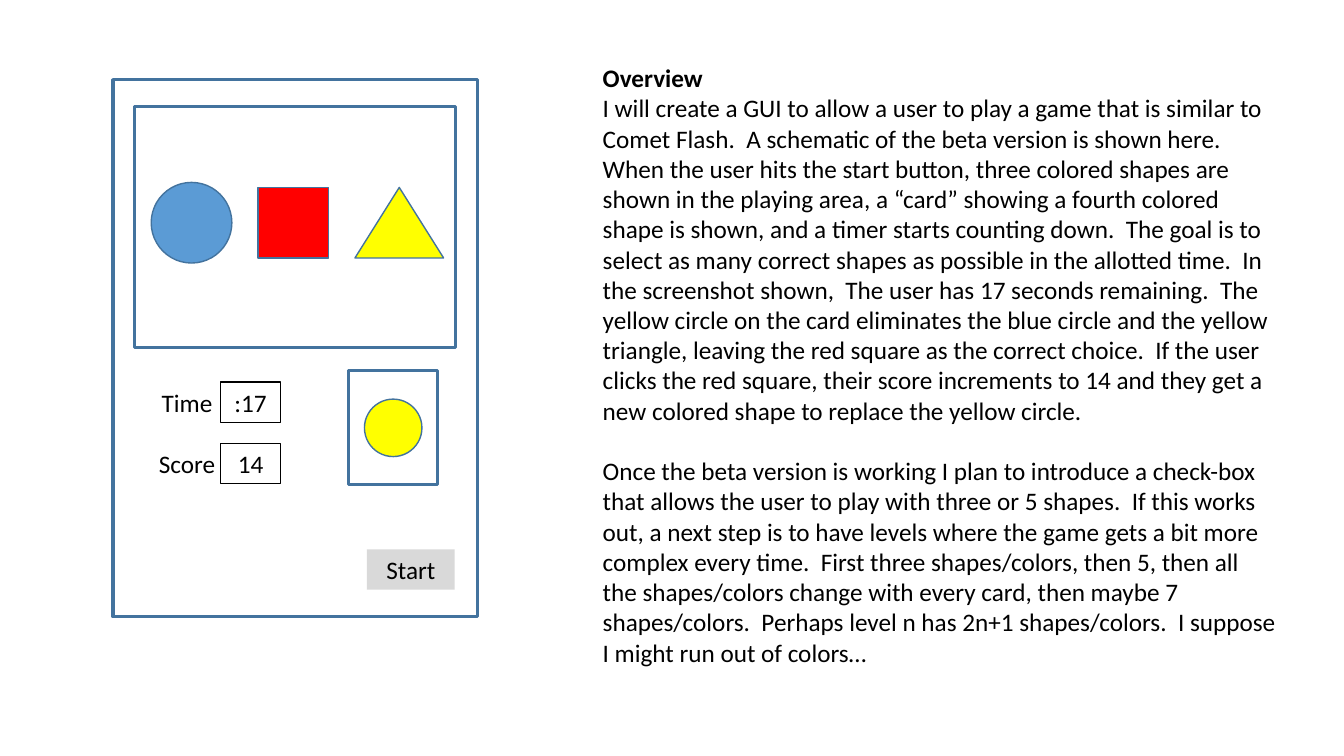
from dataclasses import dataclass

from pptx import Presentation
from pptx.dml.color import RGBColor
from pptx.enum.shapes import MSO_SHAPE
from pptx.enum.text import MSO_ANCHOR, PP_ALIGN
from pptx.util import Inches, Pt

CELL = Inches(0.1)
FONT = {"name": "Calibri", "size": Pt(18)}
OUTLINE, INK = "43739E", "000000"
BLUE, RED, YELLOW, GREY = "5B9BD5", "FF0000", "FFFF00", "D9D9D9"
GAME_PLAN = (
    "I will create a GUI to allow a user to play a game that is similar to "
    "Comet Flash.  A schematic of the beta version is shown here.  When the user "
    "hits the start button, three colored shapes are shown in the playing area, "
    "a “card” showing a fourth colored shape is shown, and a timer starts "
    "counting down.  The goal is to select as many correct shapes as possible in "
    "the allotted time.  In the screenshot shown,  The user has 17 seconds "
    "remaining.  The yellow circle on the card eliminates the blue circle and the "
    "yellow triangle, leaving the red square as the correct choice.  If the user "
    "clicks the red square, their score increments to 14 and they get a new "
    "colored shape to replace the yellow circle."
)
NEXT_STEPS = (
    "Once the beta version is working I plan to introduce a check-box that allows "
    "the user to play with three or 5 shapes.  If this works out, a next step is "
    "to have levels where the game gets a bit more complex every time.  First "
    "three shapes/colors, then 5, then all the shapes/colors change with every "
    "card, then maybe 7 shapes/colors.  Perhaps level n has 2n+1 shapes/colors.  "
    "I suppose I might run out of colors…"
)


@dataclass
class Box:
    """A region of the slide, measured in grid cells."""

    col: float
    row: float
    cols: float
    rows: float

    def area(self, col, row, cols, rows):
        """Return a box placed from this box's top left corner."""
        return Box(self.col + col, self.row + row, cols, rows)

    def centred(self, cols, rows):
        """Return a box of the given size in the middle of this one."""
        return self.area((self.cols - cols) / 2, (self.rows - rows) / 2, cols, rows)

    def lengths(self):
        """Return left, top, width and height as slide lengths."""
        return [round(n * CELL) for n in (self.col, self.row, self.cols, self.rows)]


def colour(hex_string):
    """Turn a hex string into a colour."""
    return RGBColor.from_string(hex_string)


def apply(target, **values):
    """Set attributes from a dict of format values."""
    for key, value in values.items():
        setattr(target, key, value)


def write(text_frame, paragraphs, align=PP_ALIGN.LEFT):
    """Fill a text frame from (text, bold, space before) entries."""
    apply(text_frame, word_wrap=True, vertical_anchor=MSO_ANCHOR.TOP)
    for index, (text, bold, gap) in enumerate(paragraphs):
        paragraph = text_frame.add_paragraph() if index else text_frame.paragraphs[0]
        apply(paragraph, alignment=align, space_before=Pt(gap))
        run = paragraph.add_run()
        run.text = text
        apply(run.font, bold=bold, **FONT)
        run.font.color.rgb = colour(INK)


def draw(slide, kind, box, fill=None, line=None, weight=1.0, text=None):
    """Add a preset shape with optional fill, line and centred text."""
    shape = slide.shapes.add_shape(kind, *box.lengths())
    shape.shadow.inherit = False
    for paint, shade in ((shape.fill, fill), (shape.line.fill, line)):
        if shade:
            paint.solid()
            paint.fore_color.rgb = colour(shade)
        else:
            paint.background()
    if line:
        shape.line.width = Pt(weight)
    if text:
        write(shape.text_frame, [(text, False, 0)], PP_ALIGN.CENTER)


def frame(slide, box):
    """Outline a region of the game window."""
    draw(slide, MSO_SHAPE.RECTANGLE, box, line=OUTLINE, weight=2.25)


def playing_area(slide, box):
    """Draw the area with the three shapes to choose from, evenly spaced."""
    frame(slide, box)
    left, gap, middle = 1.7, 2.6, 11.5
    choices = [
        (MSO_SHAPE.OVAL, 8, 8, BLUE),
        (MSO_SHAPE.RECTANGLE, 7, 7, RED),
        (MSO_SHAPE.ISOSCELES_TRIANGLE, 8.8, 7, YELLOW),
    ]
    for kind, cols, rows, fill in choices:
        place = box.area(left, middle - rows / 2, cols, rows)
        draw(slide, kind, place, fill, OUTLINE)
        left += cols + gap


def card(slide, box):
    """Draw the card with its fourth colored shape."""
    frame(slide, box)
    draw(slide, MSO_SHAPE.OVAL, box.centred(5.7, 5.7), YELLOW, OUTLINE)


def readouts(slide, box):
    """Stack the labelled time and score fields."""
    for index, (label, value) in enumerate([("Time", ":17"), ("Score", "14")]):
        row = 6.1 * index
        caption = slide.shapes.add_textbox(*box.area(0, row, 8.7, 4).lengths())
        write(caption.text_frame, [(label, False, 0)], PP_ALIGN.CENTER)
        field = box.area(7.7, row, 5.9, 4)
        draw(slide, MSO_SHAPE.RECTANGLE, field, line=INK, weight=0.75, text=value)


def game_window(slide, box):
    """Draw the schematic of the game window."""
    frame(slide, box)
    playing_area(slide, box.area(2.1, 2.7, 31.9, 23.9))
    readouts(slide, box.area(3, 30, 13.6, 10.1))
    card(slide, box.area(23.4, 28.9, 8.8, 11.3))
    start = box.area(25.2, 46.6, 8.7, 4)
    draw(slide, MSO_SHAPE.RECTANGLE, start, fill=GREY, text="Start")


def overview(slide, box):
    """Write the description of the game."""
    description = slide.shapes.add_textbox(*box.lengths())
    paragraphs = [("Overview", True, 0), (GAME_PLAN, False, 0), (NEXT_STEPS, False, 21.6)]
    write(description.text_frame, paragraphs)


def main():
    """Build the slide and save it."""
    deck = Presentation()
    apply(deck, slide_width=Inches(13.33), slide_height=Inches(7.5))
    slide = deck.slides.add_slide(deck.slide_layouts[6])
    overview(slide, Box(58.8, 5.7, 69, 61.6))
    game_window(slide, Box(11.2, 7.9, 36.2, 53.3))
    deck.save("out.pptx")


main()
